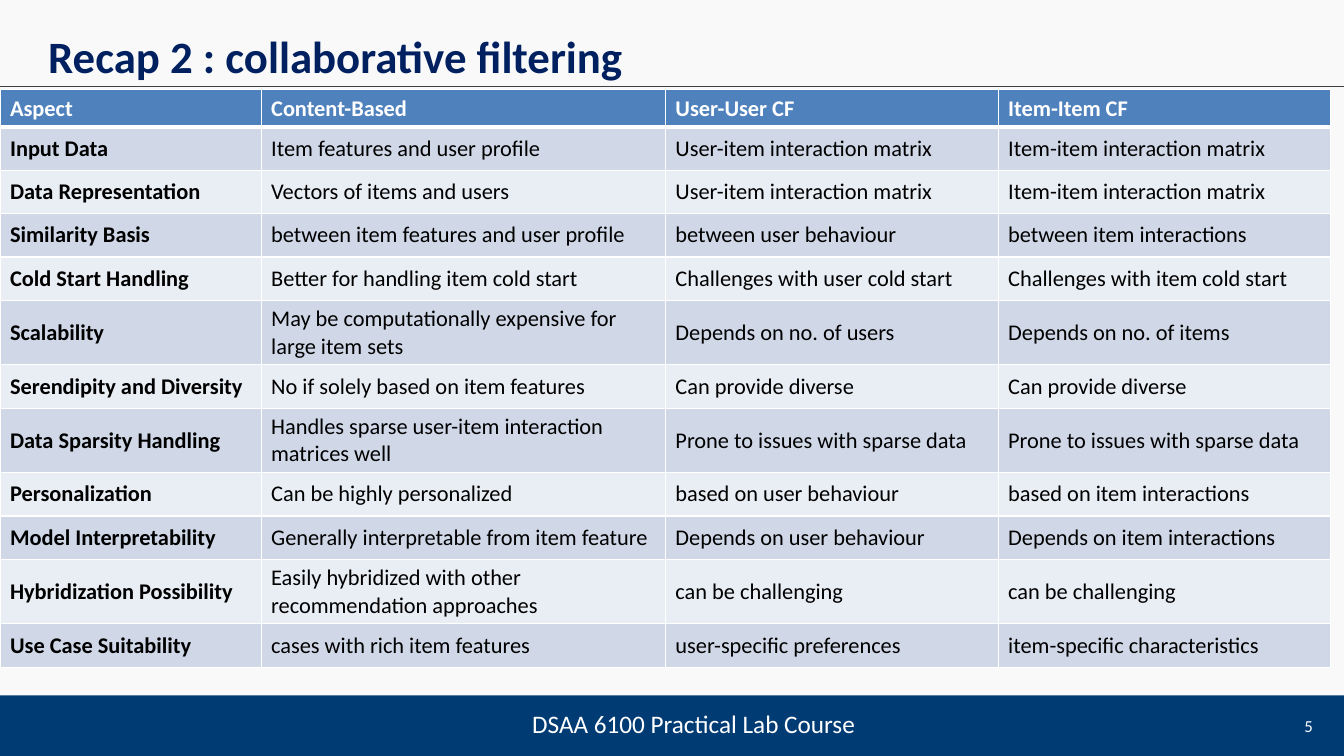
"""Build the slide that compares content-based and collaborative filtering."""
from dataclasses import astuple, dataclass

from lxml.etree import SubElement
from pptx import Presentation
from pptx.dml.color import RGBColor
from pptx.enum.shapes import MSO_CONNECTOR, MSO_SHAPE
from pptx.enum.text import MSO_ANCHOR, PP_ALIGN
from pptx.oxml.ns import qn
from pptx.slide import Slide
from pptx.table import _Cell
from pptx.text.text import TextFrame
from pptx.util import Inches, Pt

FONT = "Calibri"
WHITE, BLACK, NAVY, FOOTER_BLUE = "FFFFFF", "000000", "002060", "003B74"
HEADER_BLUE, BANDS = "4F81BD", ("D0D8E8", "E9EDF4")
COLUMN_WIDTHS = (2.59, 4.01, 3.3, 3.3)
HEADER_HEIGHT, SINGLE_HEIGHT, DOUBLE_HEIGHT = 0.37, 0.43, 0.64


@dataclass(frozen=True)
class Comparison:
    aspect: str
    content_based: str
    user_user: str
    item_item: str


@dataclass(frozen=True)
class Label:
    text: str
    left: float
    top: float
    width: float
    height: float
    size: float
    color: str = WHITE
    bold: bool = False
    align: PP_ALIGN = PP_ALIGN.LEFT
    anchor: MSO_ANCHOR = MSO_ANCHOR.TOP


COMPARISONS = [
    Comparison("Aspect", "Content-Based", "User-User CF", "Item-Item CF"),
    Comparison("Input Data", "Item features and user profile",
               "User-item interaction matrix", "Item-item interaction matrix"),
    Comparison("Data Representation", "Vectors of items and users",
               "User-item interaction matrix", "Item-item interaction matrix"),
    Comparison("Similarity Basis", "between item features and user profile",
               "between user behaviour", "between item interactions"),
    Comparison("Cold Start Handling", "Better for handling item cold start",
               "Challenges with user cold start", "Challenges with item cold start"),
    Comparison("Scalability", "May be computationally expensive for large item sets",
               "Depends on no. of users", "Depends on no. of items"),
    Comparison("Serendipity and Diversity", "No if solely based on item features",
               "Can provide diverse", "Can provide diverse"),
    Comparison("Data Sparsity Handling", "Handles sparse user-item interaction matrices well",
               "Prone to issues with sparse data", "Prone to issues with sparse data"),
    Comparison("Personalization", "Can be highly personalized",
               "based on user behaviour", "based on item interactions"),
    Comparison("Model Interpretability", "Generally interpretable from item feature",
               "Depends on user behaviour", "Depends on item interactions"),
    Comparison("Hybridization Possibility", "Easily hybridized with other recommendation approaches",
               "can be challenging", "can be challenging"),
    Comparison("Use Case Suitability", "cases with rich item features",
               "user-specific preferences", "item-specific characteristics"),
]
TWO_LINE_ASPECTS = {"Scalability", "Data Sparsity Handling", "Hybridization Possibility"}

LABELS = [
    Label("5", 10.12, 7, 3, 0.4, 12, align=PP_ALIGN.RIGHT, anchor=MSO_ANCHOR.MIDDLE),
    Label("DSAA 6100 Practical Lab Course", 4.71, 6.98, 4.34, 0.4, 18, align=PP_ALIGN.CENTER),
    Label("Recap 2 : collaborative filtering", 0.38, 0.24, 12.57, 0.84, 32, NAVY, True),
]


def rgb(color: str) -> RGBColor:
    return RGBColor.from_string(color)


def write(frame: TextFrame, text: str, *, size: float, color: str,
          bold: bool = False, align: PP_ALIGN = PP_ALIGN.LEFT) -> None:
    paragraph = frame.paragraphs[0]
    paragraph.alignment = align
    run = paragraph.add_run()
    run.text = text
    run.font.name = FONT
    run.font.size = Pt(size)
    run.font.bold = bold
    run.font.color.rgb = rgb(color)


def add_label(slide: Slide, label: Label) -> None:
    box = slide.shapes.add_textbox(Inches(label.left), Inches(label.top),
                                   Inches(label.width), Inches(label.height))
    box.text_frame.word_wrap = True
    box.text_frame.vertical_anchor = label.anchor
    write(box.text_frame, label.text, size=label.size, color=label.color,
          bold=label.bold, align=label.align)


def add_frame(slide: Slide) -> None:
    slide.background.fill.solid()
    slide.background.fill.fore_color.rgb = rgb("F9F9F9")
    rule = slide.shapes.add_connector(MSO_CONNECTOR.STRAIGHT, 0, Inches(0.86),
                                      Inches(13.33), Inches(0.86))
    rule.line.color.rgb = rgb("404040")
    rule.line.width = Pt(0.75)
    SubElement(rule._element.spPr, qn("a:effectLst"))
    footer = slide.shapes.add_shape(MSO_SHAPE.RECTANGLE, 0, Inches(6.9),
                                    Inches(13.33), Inches(0.6))
    footer.shadow.inherit = False
    footer.fill.solid()
    footer.fill.fore_color.rgb = rgb(FOOTER_BLUE)
    footer.line.fill.background()


def style_cell(cell: _Cell, fill: str, top: float, bottom: float) -> None:
    properties = cell._tc.get_or_add_tcPr()
    for side, width in (("L", 1), ("R", 1), ("T", top), ("B", bottom)):
        border = SubElement(properties, qn(f"a:ln{side}"), w=str(Pt(width)))
        SubElement(SubElement(border, qn("a:solidFill")), qn("a:srgbClr"), val=WHITE)
    cell.fill.solid()
    cell.fill.fore_color.rgb = rgb(fill)


def row_height(index: int, comparison: Comparison) -> float:
    if index == 0:
        return HEADER_HEIGHT
    return DOUBLE_HEIGHT if comparison.aspect in TWO_LINE_ASPECTS else SINGLE_HEIGHT


def add_comparison_table(slide: Slide) -> None:
    heights = [row_height(index, comparison) for index, comparison in enumerate(COMPARISONS)]
    table = slide.shapes.add_table(len(heights), len(COLUMN_WIDTHS), 0, Inches(0.89),
                                   Inches(sum(COLUMN_WIDTHS)), Inches(sum(heights))).table
    for column, width in zip(table.columns, COLUMN_WIDTHS):
        column.width = Inches(width)
    for index, (comparison, height) in enumerate(zip(COMPARISONS, heights)):
        table.rows[index].height = Inches(height)
        header = index == 0
        for position, text in enumerate(astuple(comparison)):
            cell = table.cell(index, position)
            cell.vertical_anchor = MSO_ANCHOR.BOTTOM if header else MSO_ANCHOR.MIDDLE
            style_cell(cell, HEADER_BLUE if header else BANDS[(index - 1) % 2],
                       top=3 if index == 1 else 1, bottom=3 if header else 1)
            write(cell.text_frame, text, size=16, color=WHITE if header else BLACK,
                  bold=header or position == 0)


def main() -> None:
    presentation = Presentation()
    presentation.slide_width = Inches(13.33)
    presentation.slide_height = Inches(7.5)
    slide = presentation.slides.add_slide(presentation.slide_layouts[6])
    add_frame(slide)
    for label in LABELS:
        add_label(slide, label)
    add_comparison_table(slide)
    presentation.save("out.pptx")


if __name__ == "__main__":
    main()
